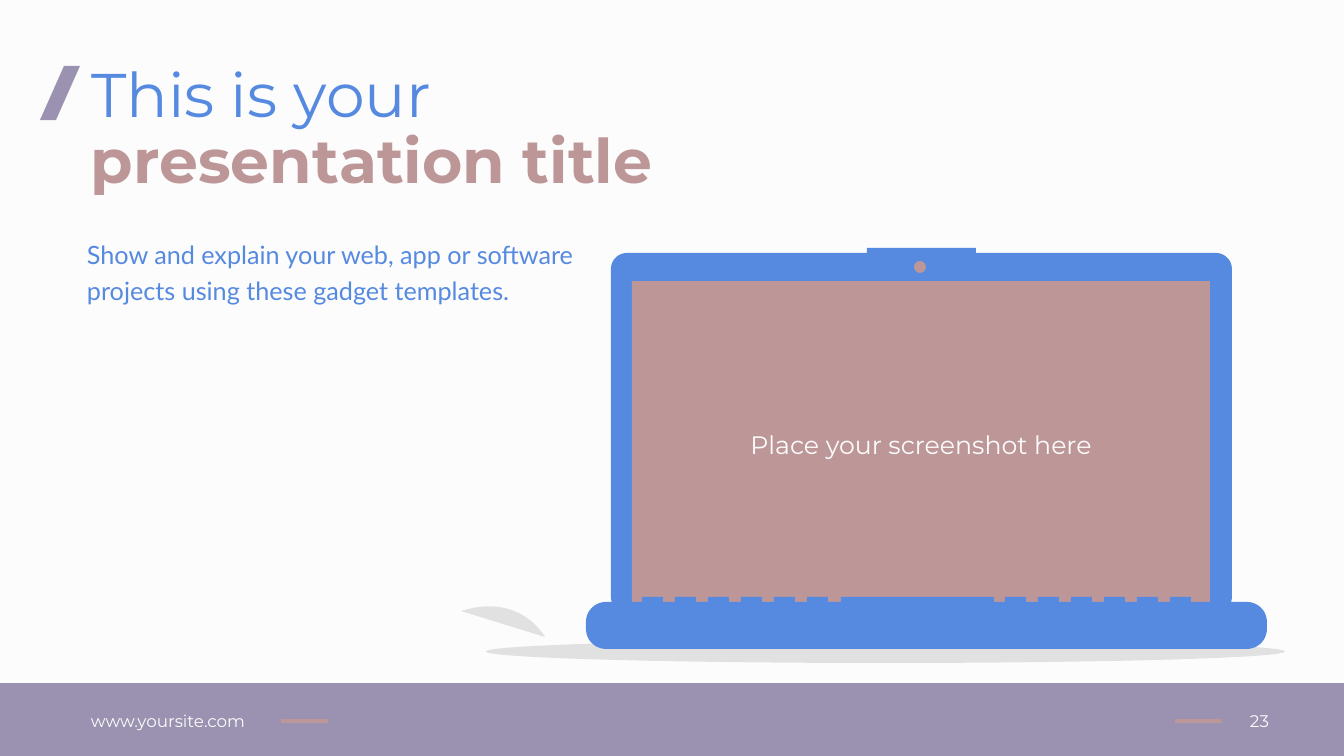
from collections import namedtuple
from math import cos, radians, sin

from lxml import etree
from pptx import Presentation
from pptx.dml.color import RGBColor
from pptx.enum.shapes import MSO_CONNECTOR, MSO_SHAPE
from pptx.enum.text import MSO_ANCHOR, MSO_AUTO_SIZE, PP_ALIGN
from pptx.oxml.ns import qn
from pptx.util import Emu, Pt

RECTANGLE, OVAL = MSO_SHAPE.RECTANGLE, MSO_SHAPE.OVAL
STRAIGHT = MSO_CONNECTOR.STRAIGHT
TOP, MIDDLE = MSO_ANCHOR.TOP, MSO_ANCHOR.MIDDLE
LEFT, CENTER, RIGHT = PP_ALIGN.LEFT, PP_ALIGN.CENTER, PP_ALIGN.RIGHT
NO_FIT = MSO_AUTO_SIZE.NONE

PX = 12192000 / 1344
COLORS = {
    "paper": "FCFCFC",
    "blue": "568AE0",
    "rose": "BD9698",
    "violet": "9A92B0",
    "gray": "E1E1E1",
}
Box = namedtuple("Box", "left top width height")


def px(length):
    return Emu(round(length * PX))


def color(name):
    return RGBColor.from_string(COLORS[name])


def inside(box, left, top, width, height):
    return Box(box.left + left, box.top + top, width, height)


def paint(shape, fill):
    shape.shadow.inherit = False
    shape.fill.solid()
    shape.fill.fore_color.rgb = color(fill)
    shape.line.fill.background()
    return shape


def add_preset(shapes, kind, box, fill):
    return paint(shapes.add_shape(kind, *map(px, box)), fill)


def add_outline(shapes, box, points, fill):
    corners = [(px(box.left + x), px(box.top + y)) for x, y in points]
    builder = shapes.build_freeform(*corners[0], scale=1.0)
    builder.add_line_segments(corners[1:], close=True)
    return paint(builder.convert_to_shape(), fill)


def write(shape, text, size, fill, font="Montserrat", bold=False,
          align=LEFT, anchor=TOP, spacing=1.0, inset=None):
    frame = shape.text_frame
    settings = {"word_wrap": True, "auto_size": NO_FIT, "vertical_anchor": anchor}
    if inset is not None:
        for side in ("left", "top", "right", "bottom"):
            settings[f"margin_{side}"] = px(inset)
    for name, value in settings.items():
        setattr(frame, name, value)
    para = frame.paragraphs[0]
    para.alignment, para.line_spacing = align, spacing
    span = para.add_run()
    span.text = text
    for name, value in {"name": font, "size": Pt(size), "bold": bold}.items():
        setattr(span.font, name, value)
    span.font.color.rgb = color(fill)


def add_text(page, box, text, size, fill, **formats):
    shape = page.shapes.add_textbox(*map(px, box))
    write(shape, text, size, fill, **formats)
    return shape


def add_dash(page, label, side, start, end, y):
    dash = page.shapes.add_connector(STRAIGHT, px(start), px(y), px(end), px(y))
    dash.begin_connect(label, side)
    dash.line.color.rgb = color("rose")
    dash.line.width = Pt(2.25)
    etree.SubElement(dash._element.spPr, qn("a:effectLst"))


def add_footer(page, box):
    add_preset(page.shapes, RECTANGLE, box, "violet")
    number = add_text(page, inside(box, 1222, 18, 57, 40), "23", 12, "paper",
                      align=RIGHT, anchor=MIDDLE)
    site = add_text(page, inside(box, 81, 18, 200, 40), "www.yoursite.com", 12,
                    "paper", anchor=MIDDLE)
    middle = box.top + 38
    add_dash(page, number, 1, 1222, 1175, middle)
    add_dash(page, site, 3, 281, 328, middle)


def add_heading(page, box):
    slash = [(16, 54), (0, 54), (24, 0), (40, 0)]
    add_outline(page.shapes, inside(box, 0, 66, 40, 54), slash, "violet")
    title = page.shapes.title
    place = inside(box, 41, 51, 834, 85)
    for name, value in place._asdict().items():
        setattr(title, name, px(value))
    write(title, "This is your", 44, "blue")
    add_text(page, inside(box, 41, 117, 599, 85), "presentation title", 44, "rose",
             bold=True)


def arc(x, y, radius, start):
    angles = [radians(start + 90 * step / 12) for step in range(13)]
    return [(x + radius * cos(a), y + radius * sin(a)) for a in angles]


def rounded(left, top, right, bottom, radius, top_edge):
    near, far = left + radius, right - radius
    high, low = top + radius, bottom - radius
    return [*arc(near, high, radius, 180), *top_edge, *arc(far, high, radius, 270),
            *arc(far, low, radius, 0), *arc(near, low, radius, 90)]


def bump(left, width, base, top):
    right = left + width
    return [(left, base), (left, top), (right, top), (right, base)]


def add_laptop(page, box):
    laptop = page.shapes.add_group_shape().shapes
    lid = rounded(25, 5, 646, 365, 16, bump(281, 109, 5, 0))
    add_outline(laptop, box, lid, "blue")
    screen = add_preset(laptop, RECTANGLE, inside(box, 46, 33, 578, 326), "rose")
    write(screen, "Place your screenshot here", 18, "paper", align=CENTER,
          anchor=MIDDLE)
    add_preset(laptop, OVAL, inside(box, 328, 13, 12, 12), "rose")
    left_keys = [(56 + 33 * key, 21) for key in range(6)]
    right_keys = [(419 + 33 * key, 21) for key in range(6)]
    keys = [*left_keys, (255, 153), *right_keys]
    key_edge = [point for key in keys for point in bump(*key, 354, 349)]
    add_outline(laptop, box, rounded(0, 354, 681, 401, 20, key_edge), "blue")


def add_leaf(page, box):
    tip, bend, pull, tail = (84, 26), (84, 26), (60, -19), (0, 0)
    curve = []
    for step in range(25):
        t = step / 24
        weights = ((1 - t) ** 3, 3 * t * (1 - t) ** 2, 3 * t * t * (1 - t), t ** 3)
        curve.append(tuple(
            sum(weight * value for weight, value in zip(weights, axis))
            for axis in zip(tip, bend, pull, tail)))
    add_outline(page.shapes, box, curve, "gray")


def add_gadget_page(deck, box):
    page = deck.slides.add_slide(deck.slide_layouts[5])
    page.background.fill.solid()
    page.background.fill.fore_color.rgb = color("paper")
    add_footer(page, inside(box, 0, 683, box.width, 73))
    add_preset(page.shapes, OVAL, inside(box, 486, 640, 799, 23), "gray")
    add_text(page, inside(box, 87, 233, 511, 77),
             "Show and explain your web, app or software projects using these "
             "gadget templates.", 18, "blue", font="Lato", spacing=1.2, inset=0)
    add_laptop(page, inside(box, 586, 248, 681, 401))
    add_leaf(page, inside(box, 461, 611, 84, 26))
    add_heading(page, inside(box, 40, 0, 875, 202))


def main():
    deck = Presentation()
    box = Box(0, 0, 1344, 756)
    deck.slide_width, deck.slide_height = px(box.width), px(box.height)
    add_gadget_page(deck, box)
    deck.save("out.pptx")


if __name__ == "__main__":
    main()
